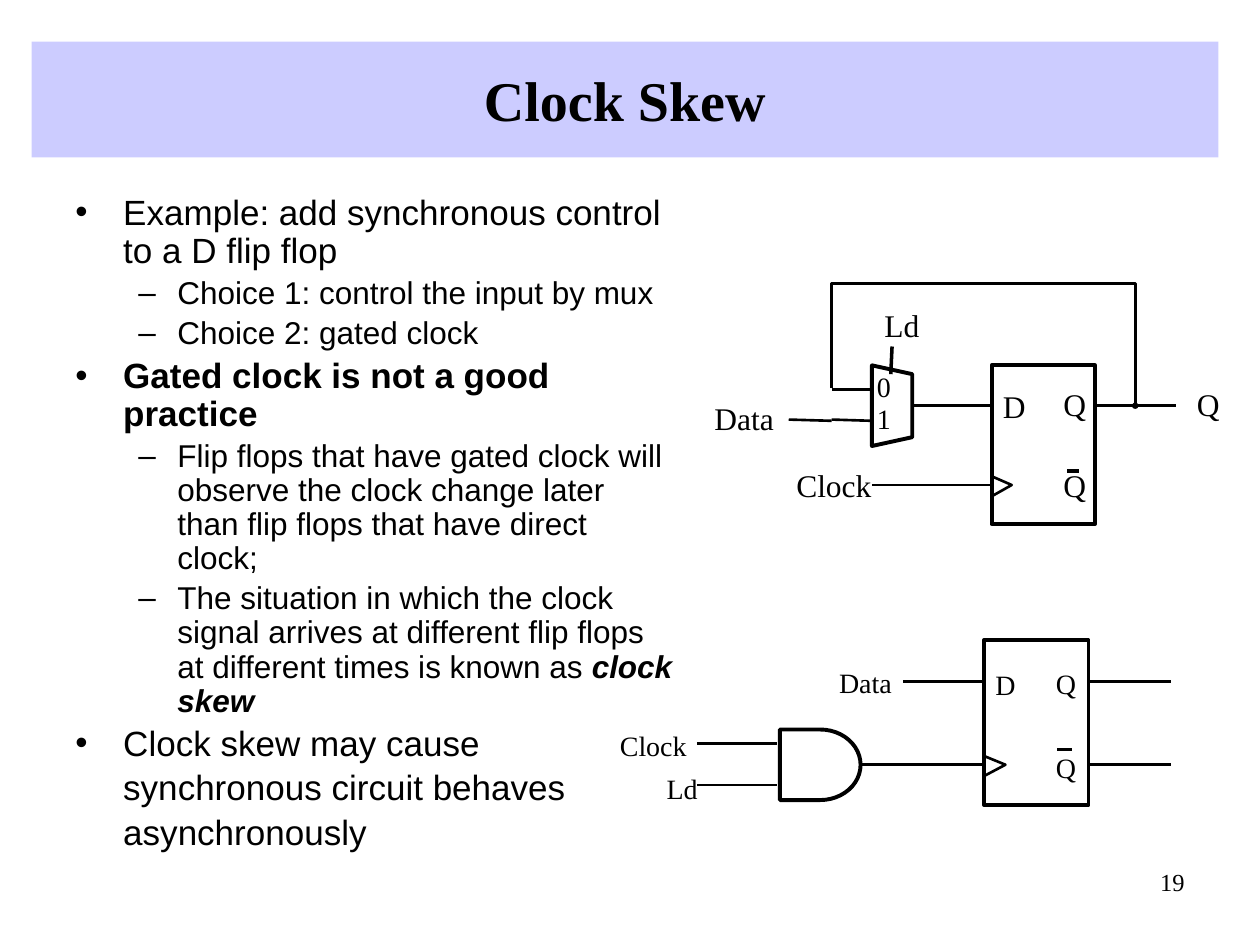
from dataclasses import dataclass
from typing import Any, Optional

from lxml.etree import SubElement
from pptx import Presentation
from pptx.dml.color import RGBColor
from pptx.enum.shapes import MSO_CONNECTOR, MSO_SHAPE
from pptx.enum.text import MSO_ANCHOR, PP_ALIGN
from pptx.oxml.ns import qn
from pptx.util import Inches, Pt

BLACK = RGBColor(0x00, 0x00, 0x00)
WHITE = RGBColor(0xFF, 0xFF, 0xFF)
LAVENDER = RGBColor(0xCC, 0xCC, 0xFF)
SERIF = "Times New Roman"
SANS = "Arial"
COLUMNS = 1000
WIRE = 1.5
OUTLINE = 2.25
HAIRLINE = 0
NO_INSETS = dict(margin_left=0, margin_top=0, margin_right=0, margin_bottom=0)

deck = Presentation()
deck.slide_width = Inches(10)
deck.slide_height = Inches(7.5)
CELL = deck.slide_width // COLUMNS
page = deck.slides.add_slide(deck.slide_layouts[5])


@dataclass
class Label:
    text: str
    column: int
    row: int
    width: int
    size: int


@dataclass
class Wire:
    start: tuple[int, int]
    end: tuple[int, int]
    weight: float = WIRE


@dataclass
class Block:
    preset: MSO_SHAPE
    column: int
    row: int
    width: int
    height: int
    fill: RGBColor = WHITE
    weight: float = OUTLINE


@dataclass
class Outline:
    points: list[tuple[int, int]]
    closed: bool = False
    weight: float = WIRE


@dataclass
class Bullet:
    spans: list[tuple[str, dict[str, Any]]]
    level: int = 0
    mark: bool = True


@dataclass
class BulletStyle:
    margin: float
    hanging: float
    mark: str
    size: int


def set_values(target: Any, values: dict[str, Any]) -> None:
    for name, value in values.items():
        setattr(target, name, value)


def cells(*counts: int) -> list[int]:
    return [count * CELL for count in counts]


def add_span(para: Any, text: str, size: int, face: str, **extra: Any) -> None:
    span = para.add_run()
    span.text = text
    set_values(span.font, dict(name=face, size=Pt(size), **extra))
    span.font.color.rgb = BLACK


def style_shape(shape: Any, fill: Optional[RGBColor], weight: float) -> None:
    shape.shadow.inherit = False
    if fill is None:
        shape.fill.background()
    else:
        shape.fill.solid()
        shape.fill.fore_color.rgb = fill
    shape.line.color.rgb = BLACK
    shape.line.width = Pt(weight)


def add_label(label: Label) -> None:
    height = round(label.size * 1.67)
    box = page.shapes.add_textbox(*cells(label.column, label.row, label.width, height))
    set_values(box.text_frame, dict(word_wrap=True, **NO_INSETS))
    add_span(box.text_frame.paragraphs[0], label.text, label.size, SERIF)


def add_wire(wire: Wire) -> None:
    line = page.shapes.add_connector(MSO_CONNECTOR.STRAIGHT, *cells(*wire.start, *wire.end))
    line.line.color.rgb = BLACK
    line.line.width = Pt(wire.weight)
    SubElement(line._element.spPr, qn("a:effectLst"))


def add_block(block: Block) -> None:
    place = cells(block.column, block.row, block.width, block.height)
    style_shape(page.shapes.add_shape(block.preset, *place), block.fill, block.weight)


def add_outline(outline: Outline) -> None:
    first, *rest = outline.points
    builder = page.shapes.build_freeform(*first, scale=CELL)
    builder.add_line_segments(rest, close=outline.closed)
    style_shape(builder.convert_to_shape(), WHITE if outline.closed else None, outline.weight)


def add_bullet(para: Any, bullet: Bullet) -> None:
    style = BULLET_STYLES[bullet.level]
    set_values(para, dict(level=bullet.level, line_spacing=0.9, space_before=Pt(style.size * 0.2)))
    properties = para._p.get_or_add_pPr()
    properties.set("marL", str(Inches(style.margin)))
    properties.set("indent", str(Inches(-style.hanging if bullet.mark else 0)))
    if bullet.mark:
        SubElement(properties, qn("a:buFont"), typeface=SANS)
        SubElement(properties, qn("a:buChar"), char=style.mark)
    else:
        SubElement(properties, qn("a:buNone"))
    for text, extra in bullet.spans:
        add_span(para, text, style.size, SANS, **extra)


BULLET_STYLES = [BulletStyle(0.38, 0.38, "•", 20), BulletStyle(0.81, 0.31, "–", 18)]
BULLETS = [
    Bullet([("Example: add synchronous control to a D flip flop", {})]),
    Bullet([("Choice 1: control the input by mux", {})], 1),
    Bullet([("Choice 2: gated clock", {})], 1),
    Bullet([("Gated clock is not a good practice", dict(bold=True))]),
    Bullet([("Flip flops that have gated clock will observe the clock change later "
             "than flip flops that have direct clock;", {})], 1),
    Bullet([("The situation in which the clock signal arrives at different flip flops "
             "at different times is known as ", {}),
            ("clock skew", dict(bold=True, italic=True))], 1),
    Bullet([("Clock skew may cause", {})]),
    Bullet([("synchronous circuit behaves", {})], mark=False),
    Bullet([("asynchronously", {})], mark=False),
]

GATED_CLOCK = [
    Block(MSO_SHAPE.RECTANGLE, 781, 508, 83, 131),
    Block(MSO_SHAPE.FLOWCHART_DELAY, 619, 579, 64, 56),
    Outline([(781, 616), (798, 607), (781, 600)]),
    *[Wire((left, row), (right, row))
      for row in (590, 623) for left, right in ((553, 585), (585, 617))],
    Wire((683, 607), (781, 607)),
    Wire((717, 541), (781, 541)),
    *[Wire((865, row), (929, row)) for row in (541, 607)],
    Wire((839, 595), (851, 595), 1.63),
    Label("D", 790, 530, 16, 16),
    Label("Q", 838, 529, 17, 16),
    Label("Q", 838, 596, 17, 16),
    Label("Data", 666, 528, 47, 16),
    Label("Clock", 492, 578, 55, 16),
    Label("Ld", 529, 612, 25, 16),
]

MUX_INPUT = [
    Block(MSO_SHAPE.RECTANGLE, 787, 290, 82, 126),
    Outline([(787, 394), (803, 385), (787, 378)]),
    Outline([(724, 297), (724, 347), (692, 354), (692, 290)], True, OUTLINE),
    Outline([(660, 308), (660, 225), (901, 225), (901, 322)]),
    Wire((847, 374), (856, 374), HAIRLINE),
    Wire((707, 297), (708, 275), HAIRLINE),
    Wire((660, 309), (692, 309)),
    Wire((660, 333), (692, 334)),
    Wire((626, 333), (660, 334)),
    Wire((724, 322), (787, 322)),
    Wire((869, 322), (933, 322)),
    Wire((692, 385), (787, 385)),
    Block(MSO_SHAPE.OVAL, 899, 320, 4, 4, BLACK, HAIRLINE),
    Label("D", 796, 307, 24, 18),
    *[Label("Q", column, row, 24, 18) for column, row in ((844, 306), (844, 370), (950, 306))],
    Label("Data", 567, 317, 53, 18),
    Label("Clock", 632, 370, 66, 18),
    Label("Ld", 702, 243, 34, 18),
    Label("0", 696, 293, 16, 16),
    Label("1", 696, 319, 16, 16),
]

DRAWERS = {Label: add_label, Wire: add_wire, Block: add_block, Outline: add_outline}

title = page.shapes.title
set_values(title, dict(zip(("left", "top", "width", "height"), cells(25, 33, 942, 92))))
title.fill.solid()
title.fill.fore_color.rgb = LAVENDER
title.text_frame.vertical_anchor = MSO_ANCHOR.MIDDLE
title.text_frame.paragraphs[0].alignment = PP_ALIGN.CENTER
add_span(title.text_frame.paragraphs[0], "Clock Skew", 32, SERIF, bold=True)

body = page.shapes.add_textbox(*cells(50, 150, 494, 520)).text_frame
body.word_wrap = True
for index, bullet in enumerate(BULLETS):
    add_bullet(body.add_paragraph() if index else body.paragraphs[0], bullet)

for part in GATED_CLOCK + MUX_INPUT:
    DRAWERS[type(part)](part)

number = page.shapes.add_textbox(*cells(742, 683, 208, 50)).text_frame
number.word_wrap = True
number.paragraphs[0].alignment = PP_ALIGN.RIGHT
add_span(number.paragraphs[0], "19", 14, SERIF)

deck.save("out.pptx")
